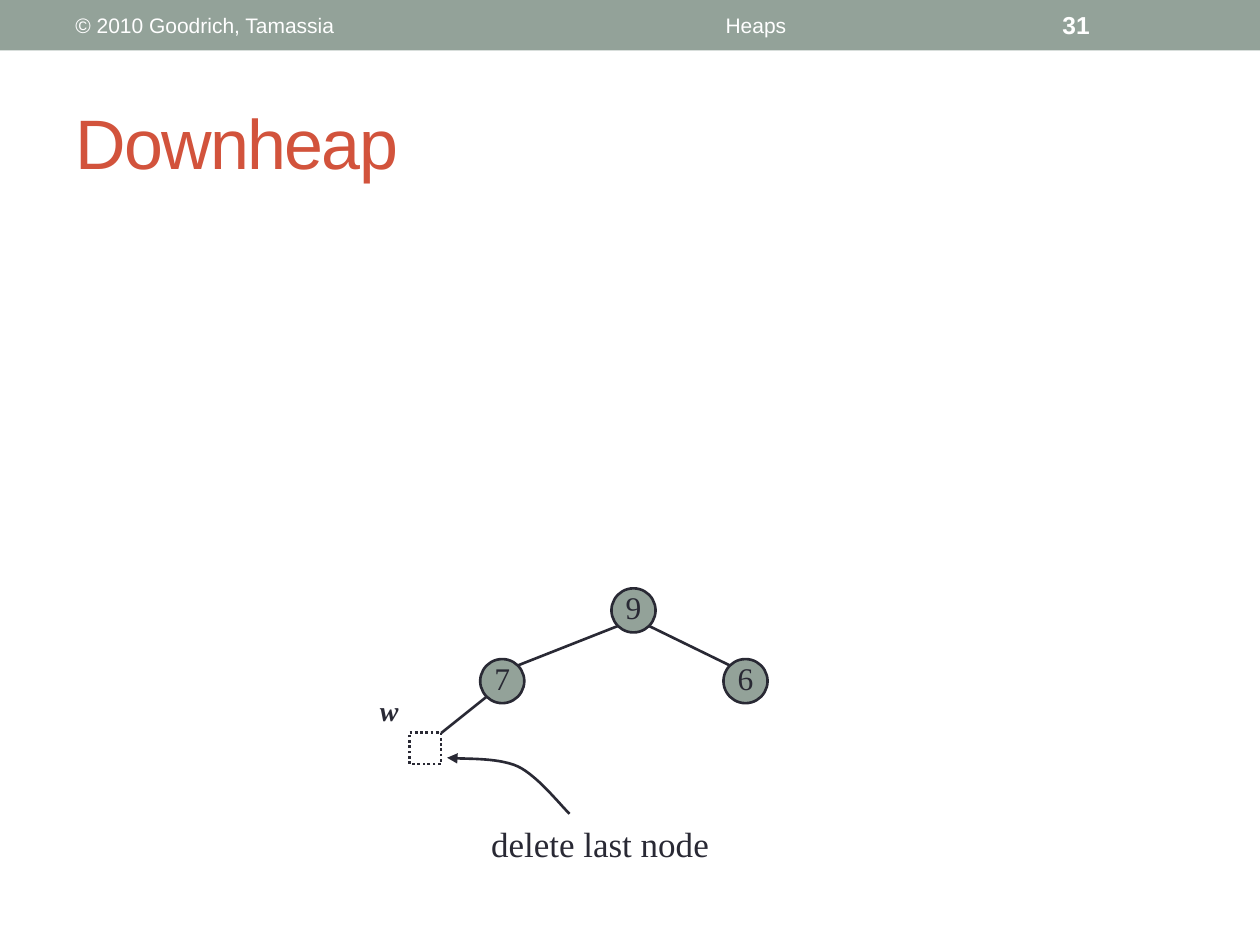
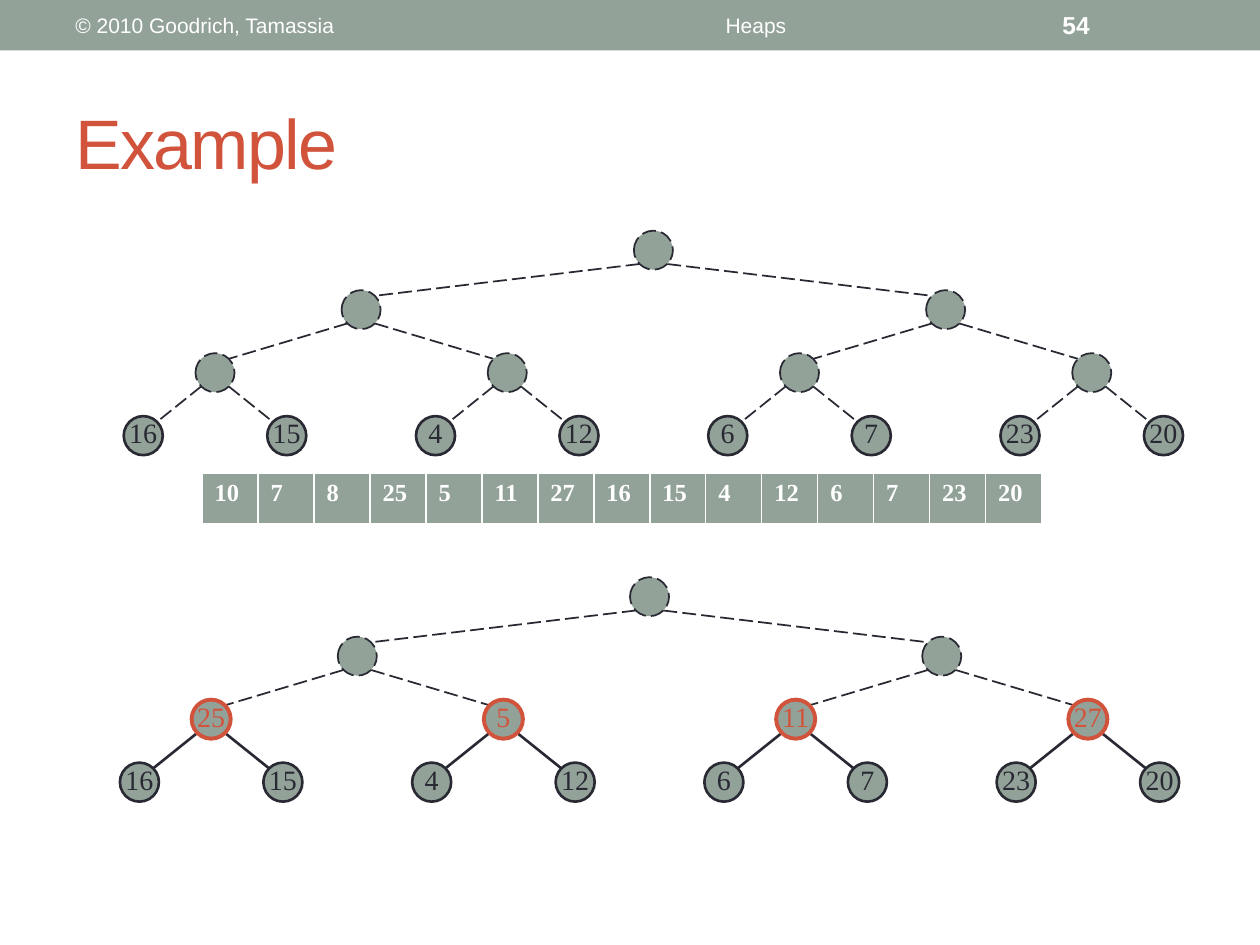
import pptx
import pptx.util
import pptx.dml.color
import pptx.enum.dml
import pptx.enum.shapes
import pptx.enum.text
import pptx.oxml
import pptx.oxml.ns

Pt = pptx.util.Pt
Dash = pptx.enum.dml.MSO_LINE
Preset = pptx.enum.shapes.MSO_SHAPE
Align = pptx.enum.text.PP_ALIGN
Anchor = pptx.enum.text.MSO_ANCHOR

COLORS = {"sage": "93A299", "ink": "292934", "rust": "D2533C", "white": "FFFFFF"}
SANS, SERIF = "Arial", "Times New Roman"
SLIDE_SIZE = (720, 540)
BAND_HEIGHT = 28.8
DIAGONAL = 0.71
LEAVES = ["16", "15", "4", "12", "6", "7", "23", "20"]
PARENTS = ["25", "5", "11", "27"]


def rgb(color):
    """Return the named colour."""
    return pptx.dml.color.RGBColor.from_string(COLORS[color])


def write_text(frame, text, size=16, font=SERIF, color="ink", bold=False, italic=False,
               align=Align.LEFT, anchor=Anchor.TOP, wrap=True, insets=None, spacing=None):
    """Write one formatted paragraph into a text frame."""
    frame.word_wrap = wrap
    frame.vertical_anchor = anchor
    if insets:
        (frame.margin_left, frame.margin_top,
         frame.margin_right, frame.margin_bottom) = map(Pt, insets)
    paragraph = frame.paragraphs[0]
    paragraph.alignment = align
    run = paragraph.add_run()
    run.text = text
    run.font.size, run.font.name = Pt(size), font
    run.font.bold, run.font.italic = bold, italic
    run.font.color.rgb = rgb(color)
    if spacing is not None:
        run._r.get_or_add_rPr().set("spc", str(spacing * 100))


def add_label(slide, box, text, **style):
    """Add a text box with one line of text."""
    label = slide.shapes.add_textbox(*map(Pt, box))
    write_text(label.text_frame, text, **style)


def set_line(line, color="ink", width=1.5, dash=None):
    """Format an outline."""
    line.color.rgb = rgb(color)
    line.width = Pt(width)
    if dash:
        line.dash_style = dash


def add_node(slide, center, size, text="", preset=Preset.OVAL, fill="sage",
             text_size=16, line_color="ink", **line):
    """Add a tree node around its centre."""
    x, y = center
    node = slide.shapes.add_shape(preset, Pt(x - size / 2), Pt(y - size / 2), Pt(size), Pt(size))
    node.shadow.inherit = False
    node.fill.solid()
    node.fill.fore_color.rgb = rgb(fill)
    set_line(node.line, line_color, **line)
    if text:
        write_text(node.text_frame, text, size=text_size, color=line_color, align=Align.CENTER,
                   anchor=Anchor.MIDDLE, wrap=False, insets=(0, 0, 0, 3.6))


def add_edge(slide, parent, child, parent_size, child_size, **line):
    """Join the lower diagonal of a parent to the upper diagonal of its child."""
    side = 1 if child[0] > parent[0] else -1
    out, into = DIAGONAL * parent_size / 2, DIAGONAL * child_size / 2
    edge = slide.shapes.add_connector(
        pptx.enum.shapes.MSO_CONNECTOR.STRAIGHT,
        Pt(parent[0] + side * out), Pt(parent[1] + out),
        Pt(child[0] - side * into), Pt(child[1] - into))
    set_line(edge.line, **line)
    edge._element.spPr.append(pptx.oxml.parse_xml(
        f'<a:effectLst {pptx.oxml.ns.nsdecls("a")}/>'))


def bezier(start, first, second, end, steps=16):
    """Return points along a cubic curve, without its start."""
    return [tuple((1 - t) ** 3 * a + 3 * t * (1 - t) ** 2 * b + 3 * t * t * (1 - t) * c + t ** 3 * d
                  for a, b, c, d in zip(start, first, second, end))
            for t in (step / steps for step in range(1, steps + 1))]


def add_curved_arrow(slide, origin, start, *curves):
    """Draw joined cubic curves that end in an arrowhead."""
    points = [start]
    for curve in curves:
        points += bezier(points[-1], *curve)
    emu = [(Pt(origin[0] + x), Pt(origin[1] + y)) for x, y in points]
    builder = slide.shapes.build_freeform(*emu[0])
    builder.add_line_segments(emu[1:], close=False)
    arrow = builder.convert_to_shape()
    arrow.shadow.inherit = False
    arrow.fill.background()
    set_line(arrow.line)
    arrow.line._get_or_add_ln().append(pptx.oxml.parse_xml(
        f'<a:tailEnd {pptx.oxml.ns.nsdecls("a")} type="triangle"/>'))


def add_master_band(prs, slide):
    """Place the top band behind every slide."""
    band = slide.shapes.add_shape(Preset.RECTANGLE, 0, 0, prs.slide_width, Pt(BAND_HEIGHT))
    band.shadow.inherit = False
    band.fill.solid()
    band.fill.fore_color.rgb = rgb("sage")
    band.line.fill.background()
    prs.slide_master.shapes.element.insert(2, band.element)


def add_titled_slide(prs, title, number):
    """Add a slide with its title and the texts of the band."""
    slide = prs.slides.add_slide(prs.slide_layouts[5])
    heading = slide.shapes.title
    heading.left, heading.top, heading.width, heading.height = map(Pt, (36, 42, 648, 78))
    heading.text_frame.auto_size = pptx.enum.text.MSO_AUTO_SIZE.NONE
    write_text(heading.text_frame, title, size=40, font=SANS, color="rust",
               anchor=Anchor.MIDDLE, spacing=-1)
    band_style = {"font": SANS, "color": "white", "anchor": Anchor.MIDDLE}
    add_label(slide, (36, 1.4, 228, 26), "© 2010 Goodrich, Tamassia", size=12, **band_style)
    add_label(slide, (270, 1.4, 324, 26), "Heaps", size=12, align=Align.CENTER, **band_style)
    add_label(slide, (600, 1.4, 84, 26), number, size=14, bold=True, **band_style)
    return slide


def add_deletion_tree(slide, left, top):
    """Draw the small heap whose last node is deleted."""
    size, last_size = 25.2, 18
    root, seven, six, last = [(left + x, top + y) for x, y in
                              ((152, 12.8), (77, 53.2), (216, 53.2), (33, 91.5))]
    add_edge(slide, root, seven, size, size)
    add_edge(slide, root, six, size, size)
    add_edge(slide, seven, last, size, last_size)
    for center, key in ((root, "9"), (seven, "7"), (six, "6")):
        add_node(slide, center, size, key, text_size=18)
    add_node(slide, last, last_size, preset=Preset.RECTANGLE, fill="white", dash=Dash.ROUND_DOT)
    add_curved_arrow(slide, (left, top), (115.5, 129),
                     ((111, 125), (97.5, 107.5), (86, 102)),
                     ((74, 96.5), (53.5, 98), (45.5, 97)))
    add_label(slide, (left + 63.5, top + 130.5, 145, 32), "delete last node", size=20)
    add_label(slide, (left, top + 56.5, 30, 36), "w", bold=True, italic=True)


def add_heap_tree(slide, left, top, labels, highlighted=()):
    """Draw a complete tree in heap order; unlabelled nodes are dashed."""
    size = 22.3
    spreads, level_tops = (0, 167, 83.5, 41), (0, 34, 70, 106)
    dashed = {"width": 1, "dash": Dash.LONG_DASH}
    centers = []
    for index in range(len(labels)):
        level = (index + 1).bit_length() - 1
        if index:
            side = -1 if index % 2 else 1
            x = centers[(index - 1) // 2][0] + side * spreads[level]
        else:
            x = left + sum(spreads) + size / 2
        centers.append((x, top + level_tops[level] + size / 2))
    for index in range(1, len(labels)):
        parent = (index - 1) // 2
        add_edge(slide, centers[parent], centers[index], size, size,
                 **({} if labels[parent] else dashed))
    for center, label in zip(centers, labels):
        if label in highlighted:
            style = {"line_color": "rust", "width": 2.25}
        else:
            style = {} if label else dashed
        add_node(slide, center, size, label, **style)


def add_key_table(slide, left, top, keys):
    """Show the keys of the heap in one row."""
    row_height, cell_width = 29.2, 32
    table = slide.shapes.add_table(1, len(keys), Pt(left), Pt(top),
                                   Pt(cell_width * len(keys)), Pt(row_height)).table
    table.first_row = table.horz_banding = False
    for column, key in enumerate(keys):
        table.columns[column].width = Pt(cell_width)
        cell = table.cell(0, column)
        write_text(cell.text_frame, key, size=14, color="white", bold=True)
        for side, width in (("L", 1), ("R", 1), ("T", 1), ("B", 3)):
            cell._tc.get_or_add_tcPr().append(pptx.oxml.parse_xml(
                f'<a:ln{side} {pptx.oxml.ns.nsdecls("a")} w="{Pt(width)}"><a:solidFill>'
                f'<a:srgbClr val="{COLORS["white"]}"/></a:solidFill></a:ln{side}>'))
        cell.fill.solid()
        cell.fill.fore_color.rgb = rgb("sage")


def main():
    """Build and save the presentation."""
    prs = pptx.Presentation()
    prs.slide_width, prs.slide_height = map(Pt, SLIDE_SIZE)

    downheap = add_titled_slide(prs, "Downheap", "31")
    add_master_band(prs, downheap)
    add_deletion_tree(downheap, 210, 336)

    example = add_titled_slide(prs, "Example", "54")
    add_heap_tree(example, 70.7, 131.8, [""] * 7 + LEAVES)
    add_key_table(example, 115.5, 270.7, ["10", "7", "8"] + PARENTS + LEAVES)
    add_heap_tree(example, 68.5, 329.8, [""] * 3 + PARENTS + LEAVES, highlighted=PARENTS)

    prs.save("out.pptx")


if __name__ == "__main__":
    main()
